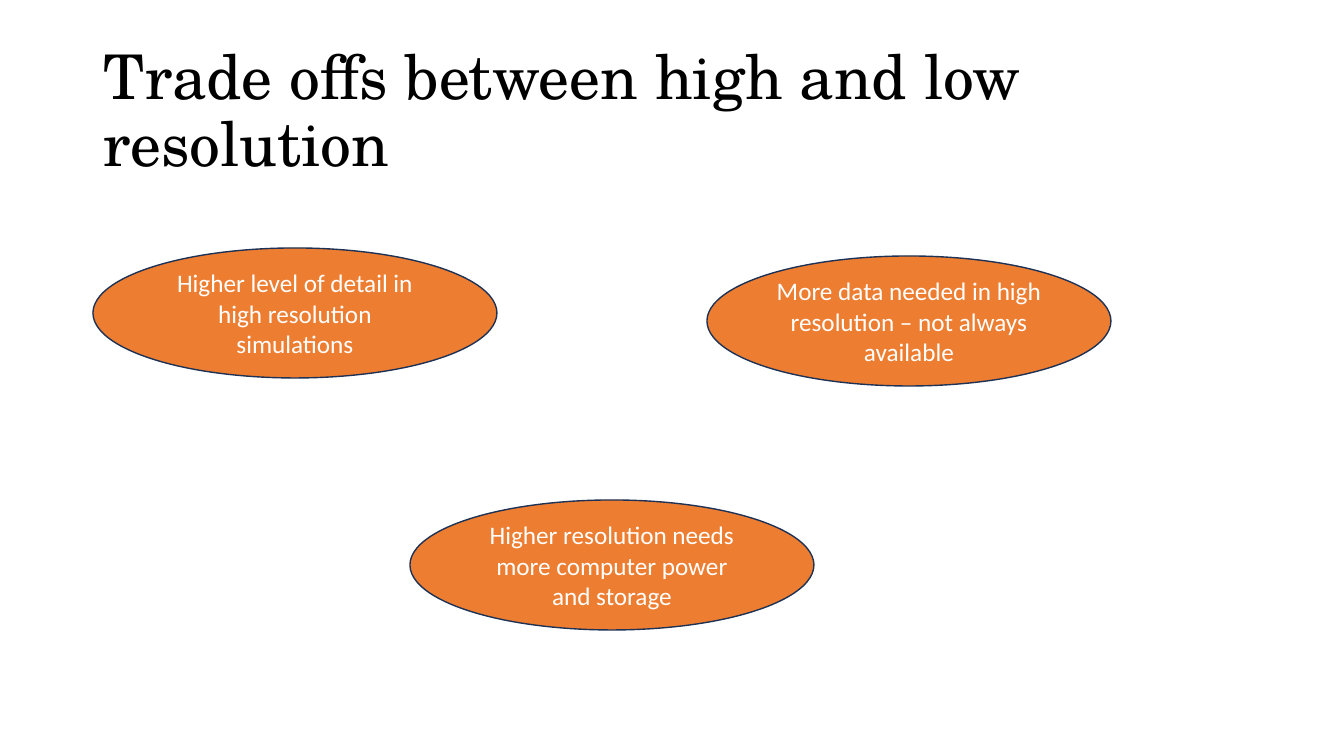
from pptx import Presentation
from pptx.dml.color import RGBColor
from pptx.enum.shapes import MSO_SHAPE
from pptx.enum.text import MSO_ANCHOR, MSO_AUTO_SIZE, PP_ALIGN
from pptx.util import Emu, Pt

EMU_PER_PX = 914400 / 100.8
SLIDE_SIZE = (1344, 756)
TITLE_BOX = (93, 40, 1159, 146)
OVAL_SIZE = (404, 130)
TRADE_OFFS = [
    (93, 248, "Higher level of detail in high resolution simulations"),
    (707, 256, "More data needed in high resolution – not always available"),
    (410, 500, "Higher resolution needs more computer power and storage"),
]


def px(length):
    return Emu(round(length * EMU_PER_PX))


def color(value):
    return RGBColor.from_string(value)


def write_text(shape, text, *, font, size, fill, align, line_spacing=1.0):
    frame = shape.text_frame
    frame.text = text
    frame.word_wrap = True
    frame.auto_size = MSO_AUTO_SIZE.NONE
    frame.vertical_anchor = MSO_ANCHOR.MIDDLE
    paragraph = frame.paragraphs[0]
    paragraph.alignment = align
    paragraph.line_spacing = line_spacing
    run_font = paragraph.runs[0].font
    run_font.name = font
    run_font.size = Pt(size)
    run_font.color.rgb = color(fill)


def place_title(slide, box, text):
    title = slide.shapes.title
    title.left, title.top, title.width, title.height = map(px, box)
    write_text(title, text, font="TeX Gyre Schola", size=44, fill="000000",
               align=PP_ALIGN.LEFT, line_spacing=0.9)


def add_trade_off(slide, box, text):
    oval = slide.shapes.add_shape(MSO_SHAPE.OVAL, *map(px, box))
    oval.shadow.inherit = False
    oval.fill.solid()
    oval.fill.fore_color.rgb = color("ED7D31")
    oval.line.color.rgb = color("1E3256")
    oval.line.width = Pt(1)
    write_text(oval, text, font="Calibri", size=18, fill="FFFFFF",
               align=PP_ALIGN.CENTER)


def main():
    presentation = Presentation()
    presentation.slide_width, presentation.slide_height = map(px, SLIDE_SIZE)
    slide = presentation.slides.add_slide(presentation.slide_layouts[5])
    place_title(slide, TITLE_BOX, "Trade offs between high and low resolution")
    for left, top, text in TRADE_OFFS:
        add_trade_off(slide, (left, top, *OVAL_SIZE), text)
    presentation.save("out.pptx")


if __name__ == "__main__":
    main()
